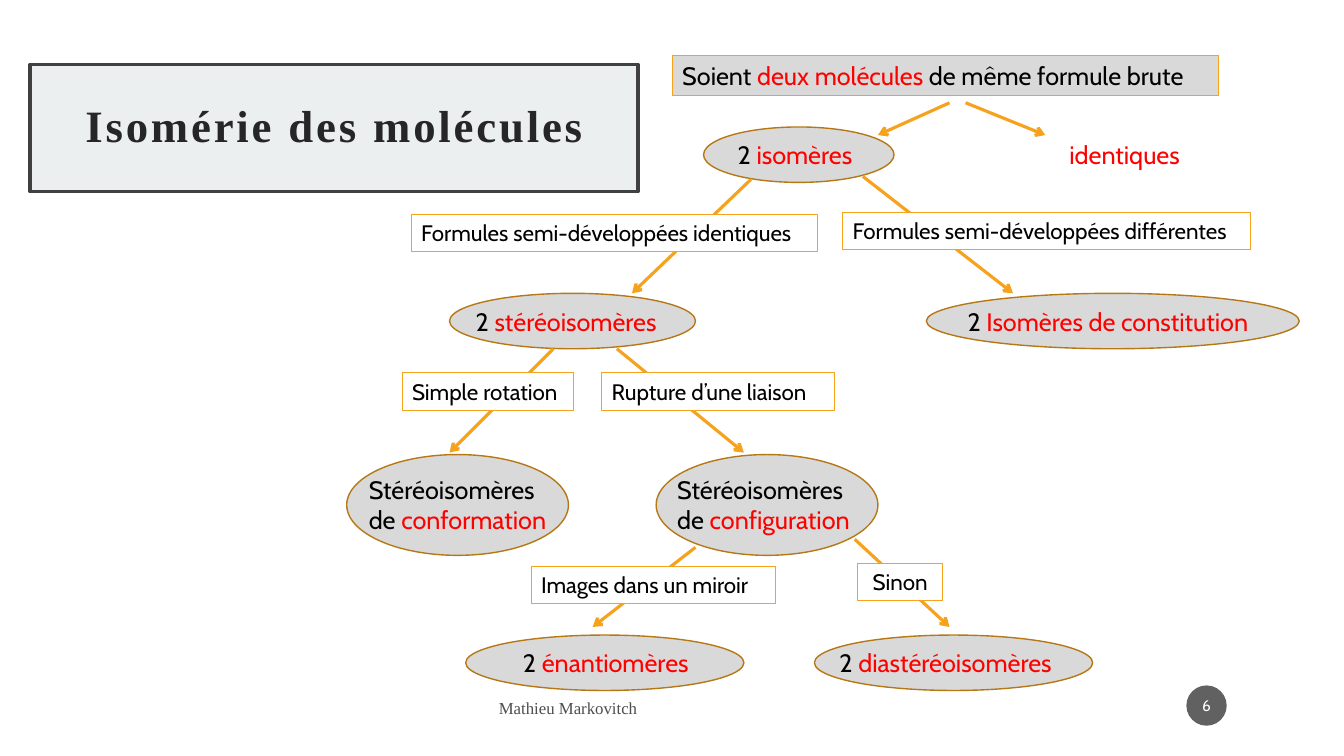
from dataclasses import dataclass

from lxml import etree
from pptx import Presentation, util as u
from pptx.dml.color import RGBColor
from pptx.enum import shapes, text
from pptx.oxml.ns import qn
from pptx.shapes.autoshape import Shape
from pptx.slide import Slide

COLOURS = {
    "ink": "000000", "key": "FF0000", "white": "FFFFFF", "node": "D9D9D9",
    "node_edge": "B67815", "accent": "F6A21D", "title_fill": "EBEFF0",
    "title_edge": "404040", "title_ink": "262626", "footer": "4D4D4D",
    "badge": "616161",
}
BODY_FONT = "Cabin"
SERIF_FONT = "Times New Roman"
COLUMNS, ROWS = 160, 90
SLIDE_WIDTH, SLIDE_HEIGHT = u.Inches(13.333), u.Inches(7.5)
LINE_ROWS = 3.72
LABEL_PAD_ROWS = 1.08
CONDITION_ROWS = 4.44


@dataclass(frozen=True)
class Area:
    column: float
    row: float
    columns: float
    rows: float

    def lengths(self) -> tuple[int, int, int, int]:
        return (across(self.column), down(self.row),
                across(self.columns), down(self.rows))


@dataclass(frozen=True)
class Node:
    area: Area
    label_column: float
    label_columns: float
    lines: tuple[str, ...]


@dataclass(frozen=True)
class Condition:
    column: float
    row: float
    columns: float
    wording: str
    align: text.PP_ALIGN = text.PP_ALIGN.LEFT


@dataclass(frozen=True)
class Arrow:
    start: tuple[float, float]
    end: tuple[float, float]


NODES = [
    Node(Area(83.76, 15.12, 22.68, 6.6), 86.64, 17.28, ("2 |isomères",)),
    Node(Area(53.52, 34.92, 29.28, 6.6), 55.44, 25.68, ("2 |stéréoisomères",)),
    Node(Area(110.28, 34.92, 44.4, 6.6), 114, 37.8, ("2 |Isomères de constitution",)),
    Node(Area(41.28, 54.12, 26.4, 12), 42.72, 24.48, ("Stéréoisomères", "de |conformation")),
    Node(Area(78.12, 54.12, 26.4, 12), 79.44, 24.48, ("Stéréoisomères", "de |configuration")),
    Node(Area(55.44, 75.6, 33.12, 6.6), 61.08, 23.64, ("2 |énantiomères",)),
    Node(Area(96.96, 75.6, 33.12, 6.6), 98.76, 29.64, ("2 |diastéréoisomères",)),
]
ARROWS = [
    Arrow((113.04, 12.24), (104.52, 16.08)),
    Arrow((114.96, 12.24), (124.44, 16.08)),
    Arrow((89.4, 21.36), (75.24, 34.92)),
    Arrow((102.72, 21), (120.6, 34.92)),
    Arrow((65.88, 41.52), (53.52, 53.88)),
    Arrow((73.44, 41.52), (88.56, 53.88)),
    Arrow((82.8, 65.16), (70.56, 74.64)),
    Arrow((101.76, 64.2), (113.04, 74.64)),
]
CONDITIONS = [
    Condition(48.96, 25.56, 48.36, "Formules semi-développées identiques"),
    Condition(100.32, 25.32, 48.6, "Formules semi-développées différentes"),
    Condition(47.88, 44.4, 20.4, "Simple rotation"),
    Condition(71.64, 44.4, 27.72, "Rupture d’une liaison"),
    Condition(63.24, 67.44, 29.04, "Images dans un miroir"),
    Condition(102.12, 67.08, 10.08, "Sinon", text.PP_ALIGN.CENTER),
]


def across(columns: float) -> int:
    return round(SLIDE_WIDTH * columns / COLUMNS)


def down(rows: float) -> int:
    return round(SLIDE_HEIGHT * rows / ROWS)


def colour(name: str) -> RGBColor:
    return RGBColor.from_string(COLOURS[name])


def paint(box: Shape, fill: str, edge: str | None = None, width: float = 1) -> None:
    box.shadow.inherit = False
    box.fill.solid()
    box.fill.fore_color.rgb = colour(fill)
    if edge is None:
        box.line.fill.background()
    else:
        box.line.color.rgb = colour(edge)
        box.line.width = u.Pt(width)


def add_shape(page: Slide, kind: shapes.MSO_SHAPE, area: Area, fill: str,
              edge: str | None = None, width: float = 1) -> Shape:
    box = page.shapes.add_shape(kind, *area.lengths())
    paint(box, fill, edge, width)
    return box


def write(box: Shape, lines: tuple[str, ...], size: float, ink: str = "ink",
          font: str = BODY_FONT, align: text.PP_ALIGN = text.PP_ALIGN.LEFT,
          anchor: text.MSO_ANCHOR = text.MSO_ANCHOR.TOP, grow: bool = True) -> None:
    frame = box.text_frame
    frame.word_wrap = True
    frame.vertical_anchor = anchor
    frame.auto_size = (text.MSO_AUTO_SIZE.SHAPE_TO_FIT_TEXT if grow
                       else text.MSO_AUTO_SIZE.NONE)
    for index, line in enumerate(lines):
        para = frame.add_paragraph() if index else frame.paragraphs[0]
        para.alignment = align
        for position, wording in enumerate(line.split("|")):
            span = para.add_run()
            span.text = wording
            span.font.name = font
            span.font.size = u.Pt(size)
            span.font.color.rgb = colour("key" if position % 2 else ink)


def add_label(page: Slide, area: Area, lines: tuple[str, ...], ink: str = "ink") -> None:
    write(page.shapes.add_textbox(*area.lengths()), lines, 18, ink)


def add_node(page: Slide, node: Node) -> None:
    add_shape(page, shapes.MSO_SHAPE.OVAL, node.area, "node", "node_edge")
    rows = len(node.lines) * LINE_ROWS + LABEL_PAD_ROWS
    row = node.area.row + (node.area.rows - rows) / 2
    add_label(page, Area(node.label_column, row, node.label_columns, rows), node.lines)


def add_arrow(page: Slide, arrow: Arrow) -> None:
    (start_column, start_row), (end_column, end_row) = arrow.start, arrow.end
    link = page.shapes.add_connector(
        shapes.MSO_CONNECTOR.STRAIGHT, across(start_column), down(start_row),
        across(end_column), down(end_row))
    link.line.color.rgb = colour("accent")
    link.line.width = u.Pt(2.25)
    properties = link._element.spPr
    etree.SubElement(properties.find(qn("a:ln")), qn("a:tailEnd"), type="arrow")
    etree.SubElement(properties, qn("a:effectLst"))


def add_condition(page: Slide, condition: Condition) -> None:
    area = Area(condition.column, condition.row, condition.columns, CONDITION_ROWS)
    box = add_shape(page, shapes.MSO_SHAPE.RECTANGLE, area, "white", "accent", 0.75)
    write(box, (condition.wording,), 16, align=condition.align)


def add_title(page: Slide) -> None:
    title = page.shapes.title
    title.left, title.top, title.width, title.height = Area(
        3.6, 7.68, 72.36, 15.12).lengths()
    paint(title, "title_fill", "title_edge", 2.5)
    write(title, ("Isomérie des molécules",), 32, "title_ink", SERIF_FONT,
          text.PP_ALIGN.CENTER, text.MSO_ANCHOR.MIDDLE, grow=False)
    frame = title.text_frame
    frame.margin_left = frame.margin_right = u.Inches(0.2)
    frame.margin_top = frame.margin_bottom = u.Inches(0.2)
    para = frame.paragraphs[0]
    para.line_spacing = 0.9
    span = para.runs[0]
    span.font.bold = True
    span._r.get_or_add_rPr().set("spc", "200")


def add_footer(page: Slide) -> None:
    author = page.shapes.add_textbox(*Area(58.2, 82.2, 20.64, 4.2).lengths())
    write(author, ("Mathieu Markovitch",), 12, "footer", SERIF_FONT,
          anchor=text.MSO_ANCHOR.MIDDLE, grow=False)
    badge = add_shape(page, shapes.MSO_SHAPE.OVAL, Area(141.24, 81.6, 4.8, 4.8), "badge")
    write(badge, ("6",), 11, "white", align=text.PP_ALIGN.CENTER,
          anchor=text.MSO_ANCHOR.MIDDLE, grow=False)
    badge.text_frame.margin_left = badge.text_frame.margin_right = u.Inches(0.02)


def main() -> None:
    deck = Presentation()
    deck.slide_width, deck.slide_height = SLIDE_WIDTH, SLIDE_HEIGHT
    page = deck.slides.add_slide(deck.slide_layouts.get_by_name("Title Only"))
    add_title(page)
    add_footer(page)
    root = add_shape(page, shapes.MSO_SHAPE.RECTANGLE, Area(80.04, 6.6, 65.04, 4.8),
                     "node", "accent", 0.75)
    write(root, ("Soient |deux molécules |de même formule brute",), 18)
    add_label(page, Area(126.12, 15.96, 16.2, 4.8), ("identiques",), "key")
    for node in NODES:
        add_node(page, node)
    for arrow in ARROWS:
        add_arrow(page, arrow)
    for condition in CONDITIONS:
        add_condition(page, condition)
    deck.save("out.pptx")


if __name__ == "__main__":
    main()
